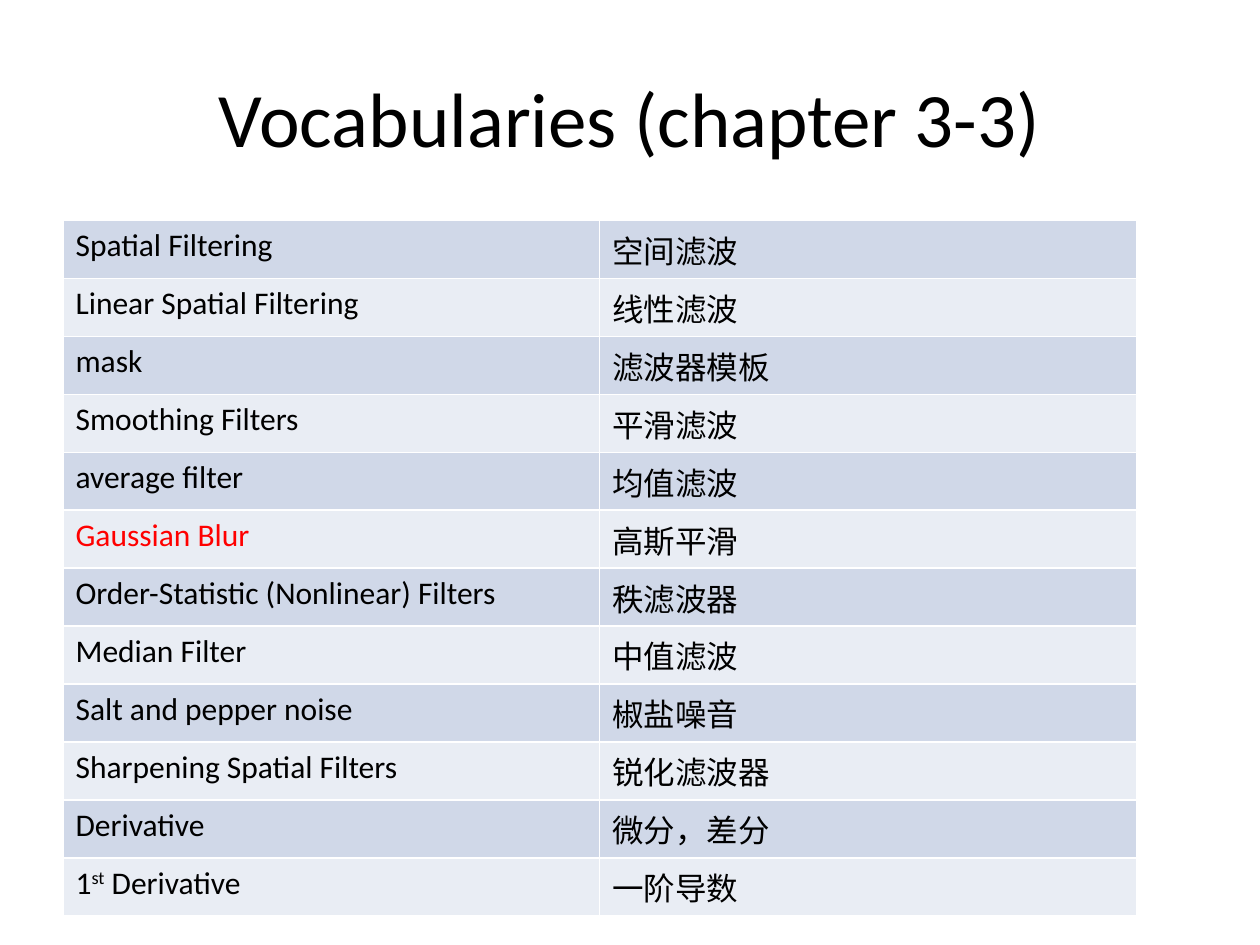
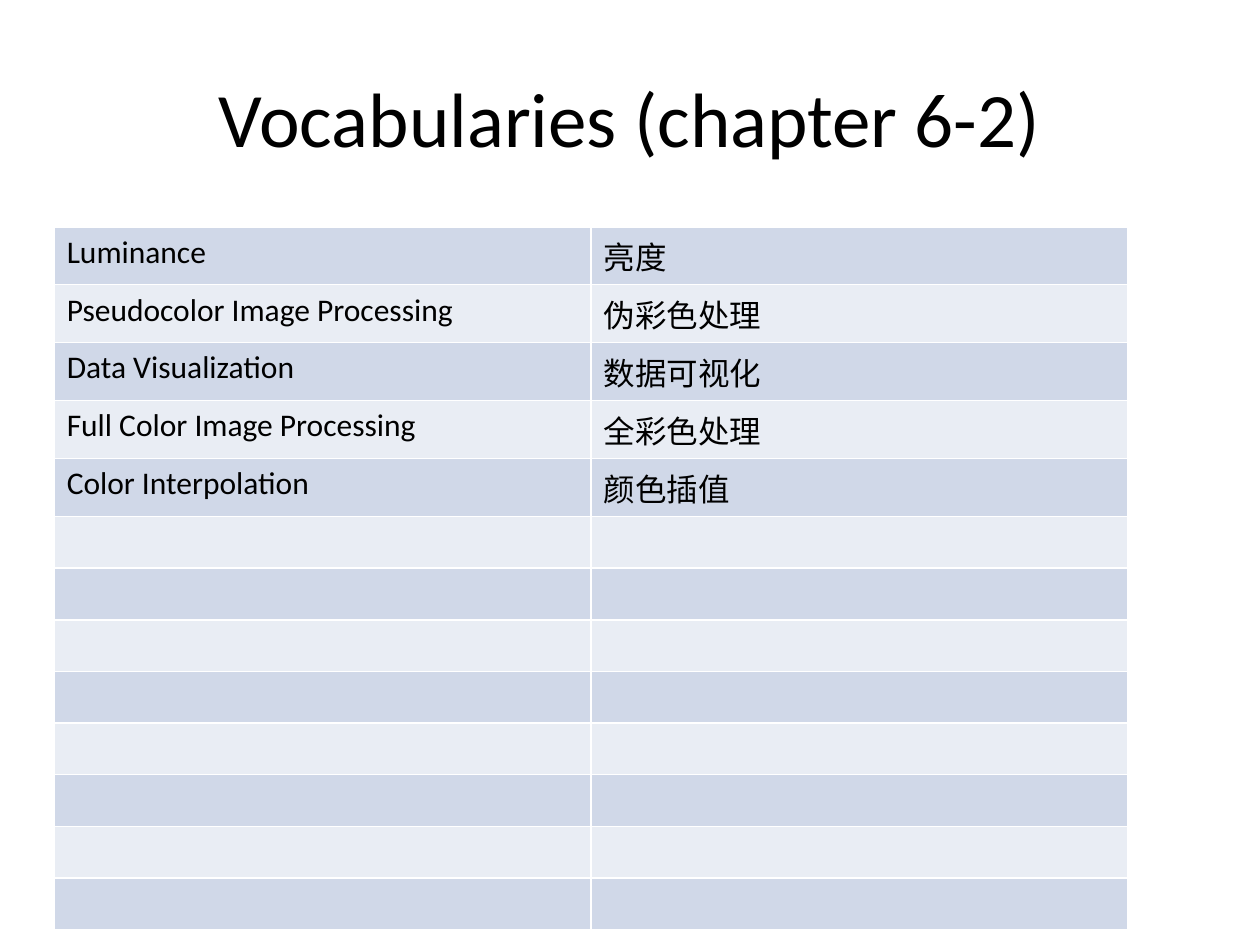
from dataclasses import dataclass

from lxml import etree
from pptx import Presentation
from pptx.dml.color import RGBColor
from pptx.enum.text import MSO_ANCHOR, PP_ALIGN
from pptx.oxml.ns import qn
from pptx.util import Inches, Pt

CENTER = PP_ALIGN.CENTER
MIDDLE = MSO_ANCHOR.MIDDLE
BLANK_LAYOUT = 6


@dataclass(frozen=True)
class Theme:
    font: str = "Calibri"
    title_size: int = 44
    body_size: int = 18
    text: str = "000000"
    accent: str = "FF0000"
    bands: tuple = ("D0D8E8", "E9EDF4")
    border: str = "FFFFFF"
    border_width: int = 1


THEME = Theme()

# Row heights and table width in inches
TERM_ROW = 0.46
EMPTY_ROW = 0.41
TABLE_WIDTH = 8.52


@dataclass(frozen=True)
class Run:
    text: str
    color: str = THEME.text
    baseline: int = 0  # percent above the line


FILTER_TERMS = [
    ("Spatial Filtering", "空间滤波"),
    ("Linear Spatial Filtering", "线性滤波"),
    ("mask", "滤波器模板"),
    ("Smoothing Filters", "平滑滤波"),
    ("average filter", "均值滤波"),
    ([Run("Gaussian Blur", THEME.accent)], "高斯平滑"),
    ("Order-Statistic (Nonlinear) Filters", "秩滤波器"),
    ("Median Filter", "中值滤波"),
    ("Salt and pepper noise", "椒盐噪音"),
    ("Sharpening Spatial Filters", "锐化滤波器"),
    ("Derivative", "微分，差分"),
    ([Run("1"), Run("st", baseline=30), Run(" Derivative")], "一阶导数"),
]
COLOR_TERMS = [
    ("Luminance", "亮度"),
    ("Pseudocolor Image Processing", "伪彩色处理"),
    ("Data Visualization", "数据可视化"),
    ("Full Color Image Processing", "全彩色处理"),
    ("Color Interpolation", "颜色插值"),
]
EMPTY_COLOR_ROWS = 8


def add_runs(paragraph, content, size):
    """Write plain text, or a list of runs, into a paragraph."""
    for part in [Run(content)] if isinstance(content, str) else content:
        run = paragraph.add_run()
        run.text = part.text
        run.font.name = THEME.font
        run.font.size = Pt(size)
        run.font.color.rgb = RGBColor.from_string(part.color)
        if part.baseline:
            run.font._element.set("baseline", str(part.baseline * 1000))


def add_title(slide, text):
    box = slide.shapes.add_textbox(Inches(0.5), Inches(0.3), Inches(9), Inches(1.25))
    frame = box.text_frame
    frame.word_wrap = True
    frame.vertical_anchor = MIDDLE
    paragraph = frame.paragraphs[0]
    paragraph.alignment = CENTER
    add_runs(paragraph, text, THEME.title_size)


def add_borders(cell):
    properties = cell._tc.get_or_add_tcPr()
    for side in ("a:lnL", "a:lnR", "a:lnT", "a:lnB"):
        line = etree.SubElement(properties, qn(side), w=str(Pt(THEME.border_width)))
        fill = etree.SubElement(line, qn("a:solidFill"))
        etree.SubElement(fill, qn("a:srgbClr"), val=THEME.border)


def add_vocabulary_table(slide, terms, left, top):
    heights = [TERM_ROW if any(term) else EMPTY_ROW for term in terms]
    frame = slide.shapes.add_table(
        len(terms), 2, Inches(left), Inches(top),
        Inches(TABLE_WIDTH), Inches(sum(heights)))
    table = frame.table
    table.first_row = False
    table.horz_banding = False
    for row_index, (term, height) in enumerate(zip(terms, heights)):
        table.rows[row_index].height = Inches(height)
        band = THEME.bands[row_index % len(THEME.bands)]
        for column_index, content in enumerate(term):
            cell = table.cell(row_index, column_index)
            add_borders(cell)
            cell.fill.solid()
            cell.fill.fore_color.rgb = RGBColor.from_string(band)
            if content:
                add_runs(cell.text_frame.paragraphs[0], content, THEME.body_size)


def add_vocabulary_slide(presentation, chapter, terms, left, top):
    slide = presentation.slides.add_slide(presentation.slide_layouts[BLANK_LAYOUT])
    add_title(slide, f"Vocabularies (chapter {chapter})")
    add_vocabulary_table(slide, terms, left, top)


def main():
    presentation = Presentation()
    presentation.slide_width = Inches(10)
    presentation.slide_height = Inches(7.5)

    # Spatial filtering terms
    add_vocabulary_slide(presentation, "3-3", FILTER_TERMS, 0.5, 1.75)

    # Colour processing terms, with rows left free for more
    color_rows = COLOR_TERMS + [("", "")] * EMPTY_COLOR_ROWS
    add_vocabulary_slide(presentation, "6-2", color_rows, 0.43, 1.8)

    presentation.save("out.pptx")


main()
